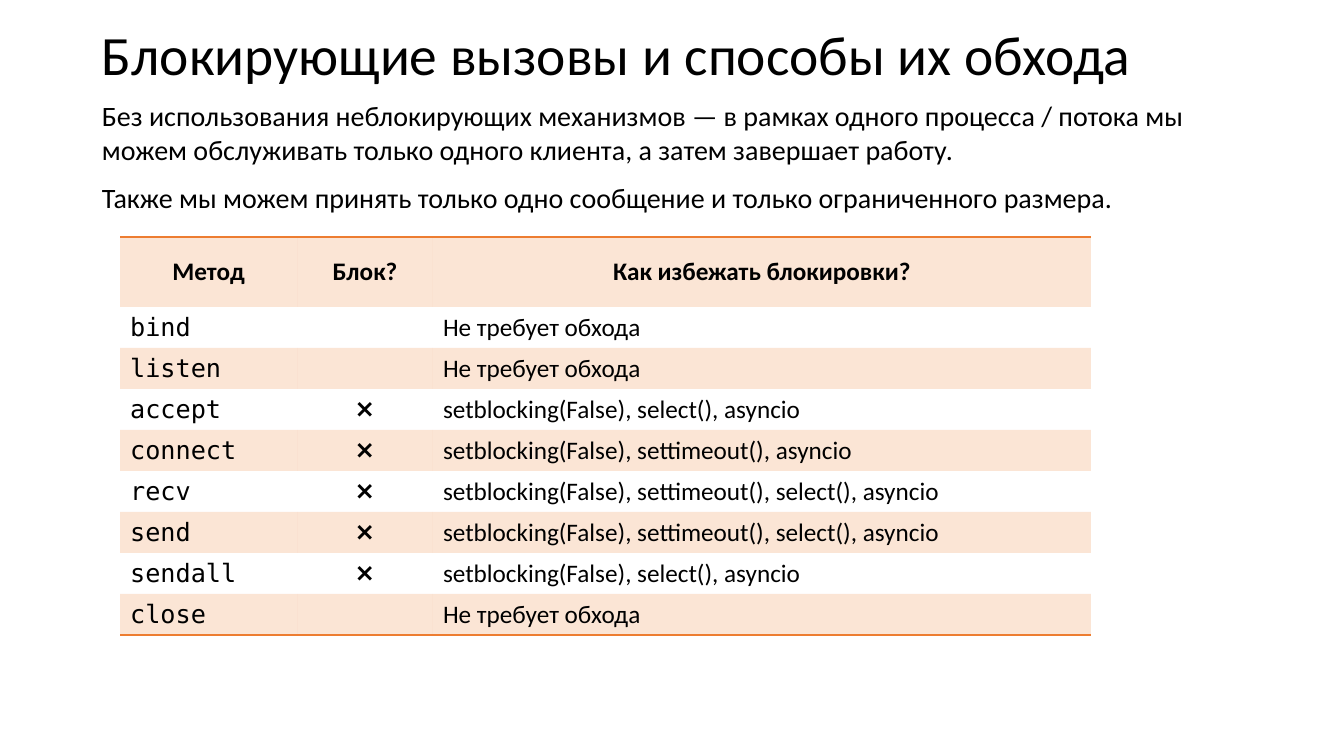
from lxml import etree
from pptx import Presentation, util as u
from pptx.dml.color import RGBColor
from pptx.enum import text as t
from pptx.oxml.ns import qn

# Content
TITLE = "Блокирующие вызовы и способы их обхода"
BODY = [
    "Без использования неблокирующих механизмов — в рамках одного процесса / потока мы "
    "можем обслуживать только одного клиента, а затем завершает работу.",
    "Также мы можем принять только одно сообщение и только ограниченного размера.",
]
FREE = "Не требует обхода"
ROWS = [
    ("Метод", "Блок?", "Как избежать блокировки?"),
    ("bind", "", FREE),
    ("listen", "", FREE),
    ("accept", "❌", "setblocking(False), select(), asyncio"),
    ("connect", "❌", "setblocking(False), settimeout(), asyncio"),
    ("recv", "❌", "setblocking(False), settimeout(), select(), asyncio"),
    ("send", "❌", "setblocking(False), settimeout(), select(), asyncio"),
    ("sendall", "❌", "setblocking(False), select(), asyncio"),
    ("close", "", FREE),
]

# Look, with lengths in px
SANS, MONO = "Calibri", "DejaVu Sans Mono"
BLACK, ORANGE = "000000", "ED7D31"
COLS = [177, 136, 658]
HEAD, ROW = 70, 41
LEFT, TOP = 120, 237
PLAIN = "{2D5ABB26-0587-4C30-8999-92F81FD0307C}"  # table style without lines or bands


def px(n):
    return u.Emu(round(n * 914400 / 100.8))


def rgb(code):
    return RGBColor.from_string(code)


def write(frame, lines, size=18, font=SANS, color=BLACK, bold=False,
          align=t.PP_ALIGN.LEFT, before=0, spacing=1.0):
    for i, line in enumerate(lines):
        para = frame.add_paragraph() if i else frame.paragraphs[0]
        para.alignment = align
        para.space_before = u.Pt(before)
        para.line_spacing = spacing
        face = para.font
        if line:
            run = para.add_run()
            run.text = line
            face = run.font
        face.size, face.name, face.bold = u.Pt(size), font, bold
        face.color.rgb = rgb(color)


def box(x, y, w, h, lines, anchor=t.MSO_ANCHOR.TOP, **look):
    frame = slide.shapes.add_textbox(px(x), px(y), px(w), px(h)).text_frame
    frame.word_wrap = True
    frame.vertical_anchor = anchor
    write(frame, lines, **look)


def tint(cell, code, share):
    cell.fill.solid()
    cell.fill.fore_color.rgb = rgb(code)
    hue = cell._tc.tcPr.find(".//" + qn("a:srgbClr"))
    etree.SubElement(hue, qn("a:alpha"), val=str(share * 1000))


def edge(cell, side, code):
    line = etree.Element(qn("a:ln" + side), w=str(u.Pt(1)))
    fill = etree.SubElement(line, qn("a:solidFill"))
    etree.SubElement(fill, qn("a:srgbClr"), val=code)
    cell._tc.get_or_add_tcPr().insert(0, line)


prs = Presentation()
prs.slide_width, prs.slide_height = px(1344), px(756)
slide = prs.slides.add_slide(prs.slide_layouts[6])

# Title and body
box(92, 20, 1159, 74, [TITLE], t.MSO_ANCHOR.MIDDLE, size=39.6, spacing=0.9)
box(92, 94, 1159, 117, BODY, size=20, before=10)

# Table
last = len(ROWS) - 1
grid = slide.shapes.add_table(len(ROWS), len(COLS), px(LEFT), px(TOP),
                              px(sum(COLS)), px(HEAD + ROW * last)).table
grid.first_row = grid.horz_banding = False
grid._tbl.tblPr.find(qn("a:tableStyleId")).text = PLAIN
for c, width in enumerate(COLS):
    grid.columns[c].width = px(width)
for r, row in enumerate(ROWS):
    grid.rows[r].height = px(ROW if r else HEAD)
    for c, words in enumerate(row):
        cell = grid.cell(r, c)
        cell.vertical_anchor = t.MSO_ANCHOR.MIDDLE
        mid = r == 0 or c == 1
        write(cell.text_frame, [words], bold=r == 0,
              font=MONO if r and c == 0 else SANS,
              align=t.PP_ALIGN.CENTER if mid else t.PP_ALIGN.LEFT)
        if r % 2:
            cell.fill.background()
        else:
            tint(cell, ORANGE, 20)
        if r in (0, last):
            edge(cell, "B" if r else "T", ORANGE)

prs.save("out.pptx")
